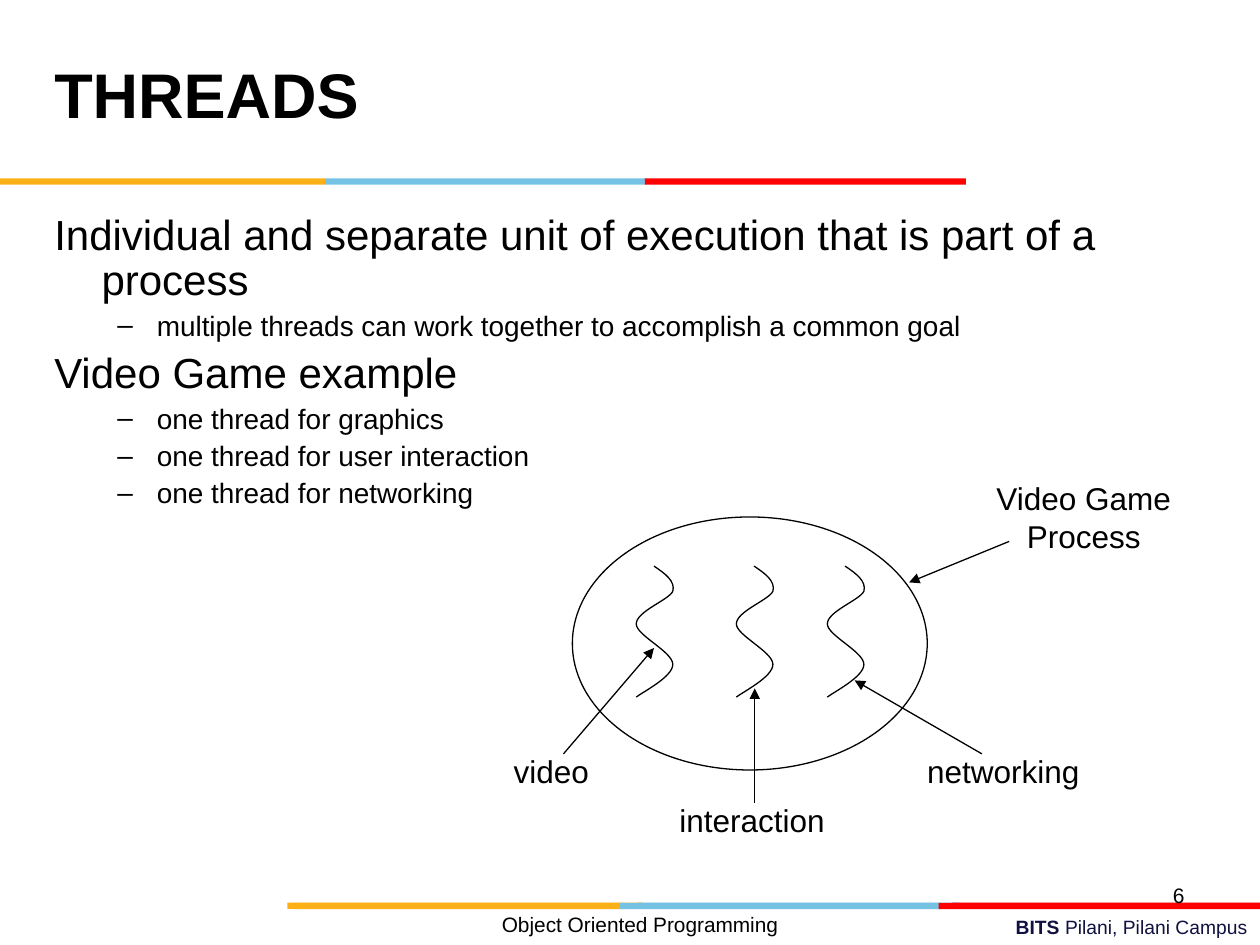
"""Build the THREADS slide with its video game process diagram."""
from dataclasses import dataclass

from lxml.etree import SubElement
from pptx import Presentation
from pptx.dml.color import RGBColor
from pptx.enum.shapes import MSO_CONNECTOR, MSO_SHAPE
from pptx.enum.text import MSO_ANCHOR, MSO_AUTO_SIZE, PP_ALIGN
from pptx.oxml.ns import qn
from pptx.util import Pt


@dataclass(frozen=True)
class Theme:
    font: str = "Arial"
    ink: str = "000000"
    navy: str = "101141"
    amber: str = "FCB017"
    sky: str = "76C2E5"
    red: str = "FF0000"
    crimson: str = "E31C24"
    title: float = 36
    body: float = 24
    sub: float = 16
    label: float = 18
    number: float = 12
    footer: float = 11.9
    campus: float = 11
    line: float = 0.75


THEME = Theme()
LEFT, CENTER, RIGHT = PP_ALIGN.LEFT, PP_ALIGN.CENTER, PP_ALIGN.RIGHT

BARS = [
    (364.3, 515.8, 183.6, THEME.sky),
    (544.3, 515.8, 175.7, THEME.crimson),
    (164.2, 515.8, 203, THEME.amber),
    (354.2, 516, 183.6, THEME.sky),
    (167.8, 516, 186.4, THEME.amber),
    (536.4, 516, 183.6, THEME.red),
    (185.8, 102, 183.6, THEME.sky),
    (0, 102, 185.8, THEME.amber),
    (368.6, 102, 183.4, THEME.red),
]
BODY = [
    (0, "Individual and separate unit of execution that is part of a process"),
    (1, "multiple threads can work together to accomplish a common goal"),
    (0, "Video Game example"),
    (1, "one thread for graphics"),
    (1, "one thread for user interaction"),
    (1, "one thread for networking"),
]
SQUIGGLE = [
    (10.1, 0),
    (16.5, 4.3), (22.4, 8.6), (20.9, 14.4),
    (18.7, 19.4), (0, 25.9), (0, 33.1),
    (0, 39.6), (20.9, 49), (20.9, 56.2),
    (20.9, 63.4), (3.6, 72), (0, 74.9),
]
THREADS_LEFT = (363.6, 420.8, 472.8)
THREADS_TOP = 323.5
LABELS = [
    ("video", (286.4, 426.2, 57.6, 28.8), LEFT),
    ("interaction", (381.1, 454.3, 97.2, 28.8), LEFT),
    ("networking", (522.7, 426.2, 101.5, 28.8), LEFT),
    ("Video Game\nProcess", (562, 270.3, 114.5, 50.4), CENTER),
]
ARROWS = [
    (322, 430.8, 373.7, 370.3),
    (431.3, 458.6, 431.3, 393.4),
    (561.1, 430.8, 488.4, 388.8),
    (576.7, 309.4, 519.5, 332.8),
]


def add_run(p, text, size=THEME.label, bold=False, color=THEME.ink):
    r = p.add_run()
    r.text = text
    r.font.name = THEME.font
    r.font.size = Pt(size)
    r.font.bold = bold
    r.font.color.rgb = RGBColor.from_string(color)


class SlideBuilder:
    def __init__(self, s, theme):
        self.s, self.theme = s, theme

    def place(self, sp, box):
        sp.left, sp.top, sp.width, sp.height = (Pt(v) for v in box)
        tf = sp.text_frame
        tf.auto_size = MSO_AUTO_SIZE.NONE
        return tf

    def outline(self, sp):
        sp.shadow.inherit = False
        sp.fill.background()
        sp.line.color.rgb = RGBColor.from_string(self.theme.ink)
        sp.line.width = Pt(self.theme.line)

    def indent(self, p, left, hanging, bullet=None):
        pPr = p._p.get_or_add_pPr()
        pPr.set("marL", str(Pt(left)))
        pPr.set("indent", str(-Pt(hanging)))
        if bullet:
            SubElement(pPr, qn("a:buFont"), typeface=self.theme.font)
            SubElement(pPr, qn("a:buChar"), char=bullet)
        else:
            SubElement(pPr, qn("a:buNone"))

    def title(self, text, box):
        tf = self.place(self.s.shapes.title, box)
        tf.vertical_anchor = MSO_ANCHOR.MIDDLE
        p = tf.paragraphs[0]
        p.alignment = LEFT
        p.line_spacing = Pt(36)
        add_run(p, text, size=self.theme.title, bold=True)

    def body(self, items, box):
        tf = self.place(self.s.placeholders[1], box)
        tf.vertical_anchor = MSO_ANCHOR.TOP
        for i, (level, text) in enumerate(items):
            p = tf.add_paragraph() if i else tf.paragraphs[0]
            p.level = level
            if level:
                self.indent(p, 58.6, 22.5, "–")
            else:
                self.indent(p, 27, 27)
            p.line_spacing = 0.9
            p.space_before = Pt((6, 4)[level] if i else 0)
            add_run(p, text, size=(self.theme.body, self.theme.sub)[level])

    def text(self, runs, box, align=LEFT, wrap=True):
        sp = self.s.shapes.add_textbox(0, 0, 0, 0)
        tf = self.place(sp, box)
        tf.word_wrap = wrap
        p = tf.paragraphs[0]
        p.alignment = align
        for text, style in runs:
            for i, line in enumerate(text.split("\n")):
                if i:
                    p = tf.add_paragraph()
                    p.alignment = align
                add_run(p, line, **style)

    def bar(self, x, y, w, color):
        sp = self.s.shapes.add_shape(MSO_SHAPE.RECTANGLE, Pt(x), Pt(y), Pt(w), Pt(3.6))
        sp.shadow.inherit = False
        sp.fill.solid()
        sp.fill.fore_color.rgb = RGBColor.from_string(color)
        sp.line.fill.background()

    def ellipse(self, *box):
        self.outline(self.s.shapes.add_shape(MSO_SHAPE.OVAL, *(Pt(v) for v in box)))

    def squiggle(self, left, top):
        points = [(Pt(left + x), Pt(top + y)) for x, y in SQUIGGLE]
        fb = self.s.shapes.build_freeform(*points[0])
        fb.add_line_segments(points[1:], close=False)
        sp = fb.convert_to_shape()
        outline = next(sp._element.iter(qn("a:moveTo"))).getparent()
        segments = outline.findall(qn("a:lnTo"))
        for i in range(0, len(segments), 3):
            curve = SubElement(outline, qn("a:cubicBezTo"))
            for segment in segments[i:i + 3]:
                curve.append(segment[0])
                outline.remove(segment)
        self.outline(sp)

    def arrow(self, *ends):
        cx = self.s.shapes.add_connector(MSO_CONNECTOR.STRAIGHT, *(Pt(v) for v in ends))
        cx.line.color.rgb = RGBColor.from_string(self.theme.ink)
        cx.line.width = Pt(self.theme.line)
        SubElement(cx.line._get_or_add_ln(), qn("a:tailEnd"), type="triangle")
        SubElement(cx._element.spPr, qn("a:effectLst"))


def main():
    prs = Presentation()
    prs.slide_width, prs.slide_height = Pt(720), Pt(540)
    b = SlideBuilder(prs.slides.add_slide(prs.slide_layouts[1]), THEME)
    b.text([("BITS ", dict(size=THEME.campus, bold=True, color=THEME.navy)),
            ("Pilani, Pilani Campus", dict(size=THEME.campus, color=THEME.navy))],
           (257.8, 519.5, 462.2, 20.9), RIGHT)
    for bar in BARS:
        b.bar(*bar)
    b.title("THREADS", (23.8, 12.2, 498.2, 90))
    b.text([("Object Oriented Programming", dict(size=THEME.footer))],
           (3.2, 517.4, 725, 23), CENTER)
    b.text([("6", dict(size=THEME.number))], (516.2, 500.7, 167.8, 28.8), RIGHT)
    b.body(BODY, (23.8, 118.8, 666.7, 304.6))
    b.ellipse(327.1, 295.4, 202.8, 144.6)
    for left in THREADS_LEFT:
        b.squiggle(left, THREADS_TOP)
    for text, box, align in LABELS:
        b.text([(text, {})], box, align, wrap=False)
    for ends in ARROWS:
        b.arrow(*ends)
    prs.save("out.pptx")


if __name__ == "__main__":
    main()
